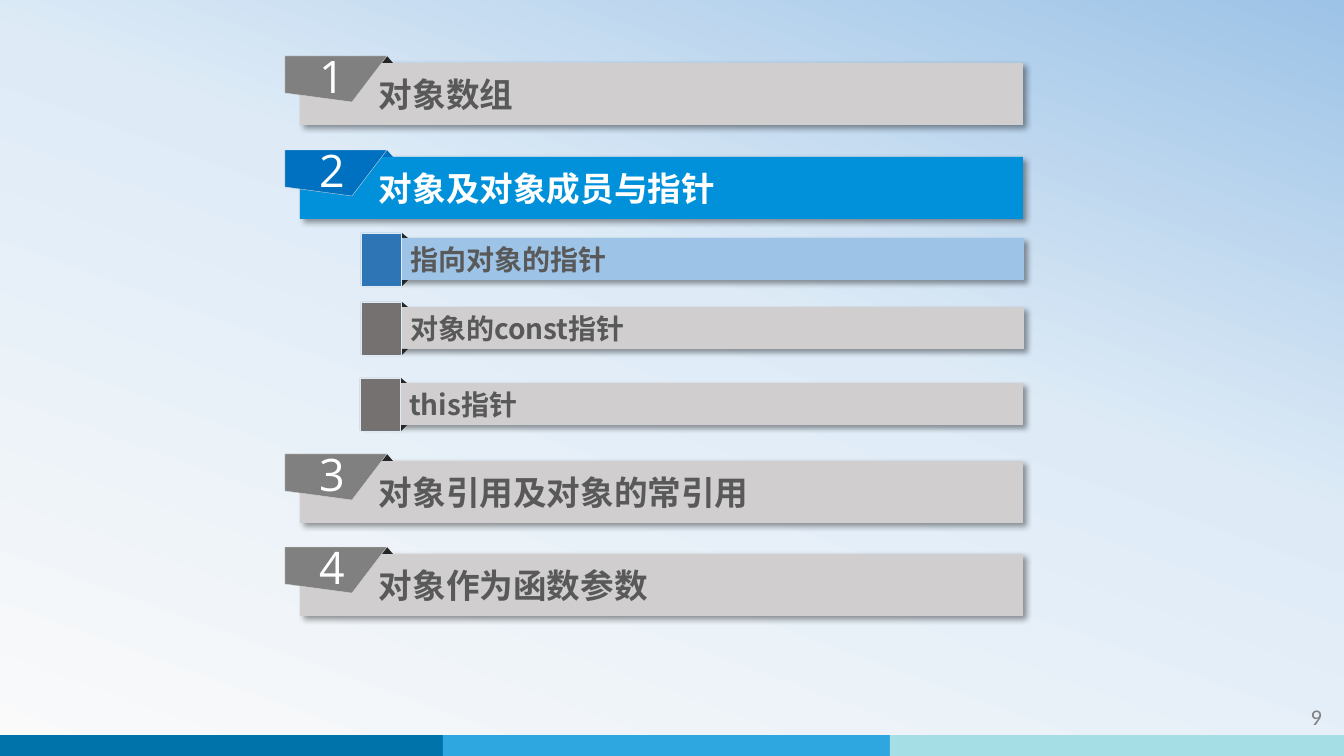
from copy import deepcopy
from itertools import pairwise

from lxml.etree import SubElement
from pptx import Presentation
from pptx.dml.color import RGBColor as RGB
from pptx.enum.shapes import MSO_SHAPE as SHAPE
from pptx.enum.text import MSO_ANCHOR as ANCHOR, PP_ALIGN as ALIGN
from pptx.oxml.ns import qn
from pptx.util import Emu, Pt

WHITE = RGB(0xFF, 0xFF, 0xFF)
BLACK = RGB(0x26, 0x26, 0x26)
TEXT = RGB(0x59, 0x59, 0x59)
GRAY = RGB(0x80, 0x80, 0x80)
BAR_GRAY = RGB(0xD0, 0xCE, 0xCE)
TAB_GRAY = RGB(0x76, 0x71, 0x71)
BAR_BLUE = RGB(0x00, 0x91, 0xDA)
FLAG_BLUE = RGB(0x00, 0x70, 0xC0)
SUB_BLUE = RGB(0x9D, 0xC3, 0xE6)
TAB_BLUE = RGB(0x2E, 0x75, 0xB6)
PALE_BLUE = RGB(0xDE, 0xEB, 0xF7)
FLAG_EDGE = RGB(0xD9, 0xD9, 0xD9)

HEAD_FONT, NUMBER_FONT, PAGE_FONT = "Noto Sans CJK SC", "Open Sans", "Calibri"

CHAPTERS = [
    ("1", "对象数组", 63, False),
    ("2", "对象及对象成员与指针", 157, True),
    ("3", "对象引用及对象的常引用", 461, False),
    ("4", "对象作为函数参数", 554, False),
]
SECTIONS = [
    ("指向对象的指针", 362, 238, True),
    ("对象的const指针", 362, 307, False),
    ("this指针", 361, 383, False),
]
PAGE = "9"
BACKGROUND = [(0, RGB(0xFA, 0xFA, 0xFA)), (0.58, PALE_BLUE), (1, SUB_BLUE)]
STRIP_EDGES = [0, 443, 890, 1344]
STRIP_COLORS = [RGB(0x00, 0x73, 0xAB), RGB(0x2E, 0xA7, 0xE0), RGB(0xA5, 0xDE, 0xE4)]

PX = 914400 / 100.8


def px(n):
    return Emu(round(n * PX))


def paint(sp, fill, edge=None):
    sp.shadow.inherit = False
    sp.fill.solid()
    sp.fill.fore_color.rgb = fill
    if edge is None:
        sp.line.fill.background()
    else:
        sp.line.color.rgb = edge
        sp.line.width = Pt(0.25)


def shape(parent, kind, box, fill, edge=None):
    sp = parent.add_shape(kind, *map(px, box))
    paint(sp, fill, edge)
    return sp


def cast_shadow(sp):
    effects = sp._element.spPr.find(qn("a:effectLst"))
    shadow = SubElement(effects, qn("a:outerShdw"), blurRad=str(Pt(4)), dist=str(Pt(3)),
                        dir="2700000", algn="tl", rotWithShape="0")
    color = SubElement(shadow, qn("a:srgbClr"), val="000000")
    SubElement(color, qn("a:alpha"), val="40000")


def write(sp, text, size, font, color, align, insets, bold=False):
    tf = sp.text_frame
    tf.word_wrap = True
    tf.vertical_anchor = ANCHOR.MIDDLE
    tf.margin_left, tf.margin_top, tf.margin_right, tf.margin_bottom = map(px, insets)
    p = tf.paragraphs[0]
    p.alignment = align
    r = p.add_run()
    r.text = text
    r.font.size, r.font.name, r.font.bold = Pt(size), font, bold
    r.font.color.rgb = color
    SubElement(r.font._element, qn("a:ea"), typeface=font)


def bar(parent, box, fill, text, size, color, indent):
    sp = shape(parent, SHAPE.RECTANGLE, box, fill)
    cast_shadow(sp)
    write(sp, text, size, HEAD_FONT, color, ALIGN.LEFT, (indent, 5, 9, 5), True)


def chapter(s, number, text, y, active):
    group = s.shapes.add_group_shape().shapes
    bar(group, (300, y, 723, 62), BAR_BLUE if active else BAR_GRAY,
        text, 24, WHITE if active else TEXT, 79)
    top = y - 7
    shape(group, SHAPE.ISOSCELES_TRIANGLE, (381, top, 12, 7), FLAG_BLUE if active else BLACK)
    outline = group.build_freeform(285, top, PX)
    outline.add_line_segments([(387, top), (352, top + 46), (285, top + 37)])
    flag = outline.convert_to_shape()
    paint(flag, FLAG_BLUE if active else GRAY, FLAG_EDGE)
    write(flag, number, 32, NUMBER_FONT, WHITE, ALIGN.CENTER, (9, 4, 17, 10))


def section(s, text, x, y, active):
    group = s.shapes.add_group_shape().shapes
    bar(group, (x, y, 662, 42), SUB_BLUE if active else BAR_GRAY, text, 20, TEXT, 48)
    shape(group, SHAPE.ISOSCELES_TRIANGLE, (x + 34, y - 5, 12, 5), BLACK)
    fold = shape(group, SHAPE.ISOSCELES_TRIANGLE, (x + 34, y + 42, 12, 6), BLACK)
    fold.rotation = 180
    shape(group, SHAPE.RECTANGLE, (x - 1, y - 5, 40, 53),
          TAB_BLUE if active else TAB_GRAY, PALE_BLUE)


def background(s):
    fill = s.background.fill
    fill.gradient()
    fill.gradient_angle = 70
    stops = next(s.element.iter(qn("a:gsLst")))
    stops.append(deepcopy(stops[0]))
    for stop, (position, color) in zip(fill.gradient_stops, BACKGROUND):
        stop.position = position
        stop.color.rgb = color


def main():
    prs = Presentation()
    prs.slide_width, prs.slide_height = px(1344), px(756)
    s = prs.slides.add_slide(prs.slide_layouts[6])
    background(s)
    for (left, right), color in zip(pairwise(STRIP_EDGES), STRIP_COLORS):
        shape(s.shapes, SHAPE.RECTANGLE, (left, 735, right - left, 21), color)
    page = s.shapes.add_textbox(*map(px, (1171, 697, 160, 40)))
    write(page, PAGE, 16, PAGE_FONT, GRAY, ALIGN.RIGHT, (9, 5, 9, 5))
    for item in CHAPTERS:
        chapter(s, *item)
    for item in SECTIONS:
        section(s, *item)
    prs.save("out.pptx")


if __name__ == "__main__":
    main()
